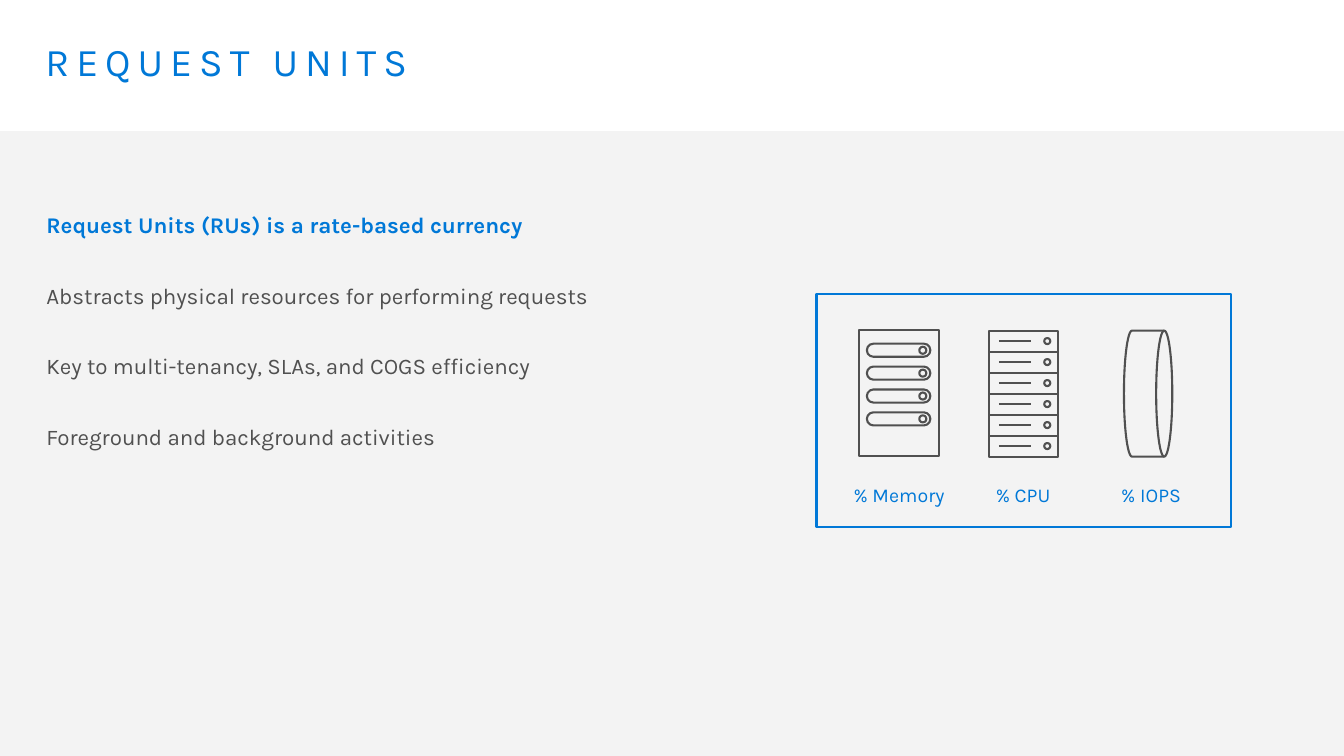
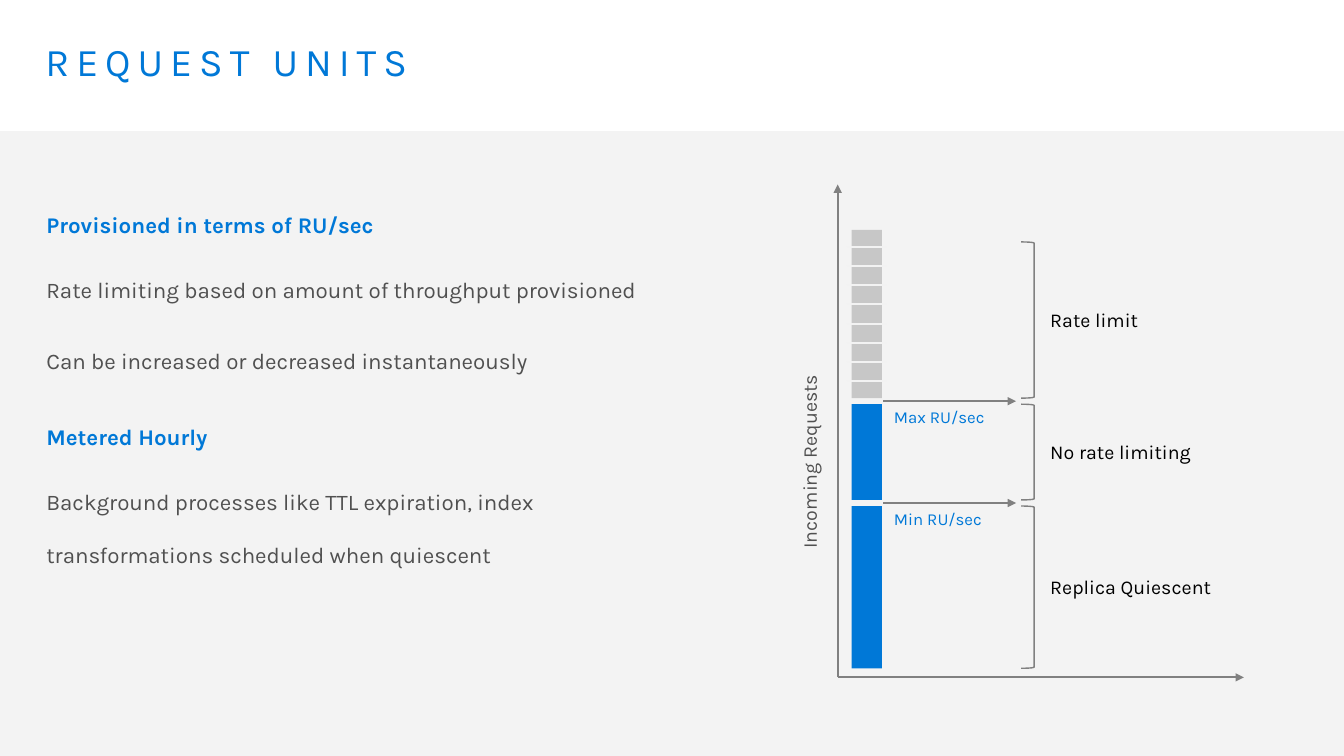
from lxml import etree
from pptx import Presentation
from pptx.dml.color import RGBColor
from pptx.enum.shapes import MSO_CONNECTOR, MSO_SHAPE
from pptx.enum.text import PP_ALIGN
from pptx.oxml.ns import qn
from pptx.util import Inches, Pt

RECTANGLE = MSO_SHAPE.RECTANGLE
PILL = MSO_SHAPE.ROUNDED_RECTANGLE
CIRCLE = MSO_SHAPE.OVAL
DRUM = MSO_SHAPE.FLOWCHART_DIRECT_ACCESS_STORAGE
BRACKET = MSO_SHAPE.RIGHT_BRACKET
STRAIGHT = MSO_CONNECTOR.STRAIGHT
LEFT, CENTER = PP_ALIGN.LEFT, PP_ALIGN.CENTER

COLORS = {
    "blue": "0078D7",
    "text": "505050",
    "band": "F2F2F2",
    "axis": "808080",
    "excess": "C7C7C7",
    "black": "000000",
}
FONT = "Karla"
COLUMNS, ROWS = 133.33, 75  # one grid cell is a tenth of an inch
LABEL_HEIGHT = 3.4


def cells(count):
    return Inches(count / 10)


def color(name):
    return RGBColor.from_string(COLORS[name])


def write(paragraph, text, size=16, ink="text", bold=False, align=LEFT,
          line_spacing=None, before=0, after=0, tracking=0):
    """Put formatted text into a paragraph."""
    paragraph.alignment = align
    paragraph.space_before, paragraph.space_after = Pt(before), Pt(after)
    if line_spacing:
        paragraph.line_spacing = line_spacing
    run = paragraph.add_run()
    run.text = text
    run.font.name, run.font.size, run.font.bold = FONT, Pt(size), bold
    run.font.color.rgb = color(ink)
    if tracking:
        run._r.get_or_add_rPr().set("spc", str(tracking * 100))


HEADING = {"ink": "blue", "bold": True, "line_spacing": 2, "before": 12}
POINT = {"line_spacing": 2, "before": 8, "after": 4}


class Deck:
    """Shared style and the slide being drawn; lengths are grid cells."""

    def __init__(self):
        self.presentation = Presentation()
        self.presentation.slide_width = cells(COLUMNS)
        self.presentation.slide_height = cells(ROWS)
        self.slide = None

    def new_slide(self, title):
        layout = self.presentation.slide_layouts[6]
        self.slide = self.presentation.slides.add_slide(layout)
        band = self.shape(RECTANGLE, 0, 13, COLUMNS, ROWS - 13, fill="band")
        fill_color = next(band._element.spPr.iter(qn("a:srgbClr")))
        etree.SubElement(fill_color, qn("a:alpha"), val="89000")
        self.text(2.9, 3.2, 127.5, 9.8, [(title, {
            "size": 28, "ink": "blue", "line_spacing": 0.9, "tracking": 5})],
            margins=(1.6, 1))

    def text(self, left, top, width, height, lines, margins=(1, 0.5), rotation=0):
        box = self.slide.shapes.add_textbox(*map(cells, (left, top, width, height)))
        box.rotation = rotation
        frame = box.text_frame
        frame.word_wrap = True
        frame.margin_left = frame.margin_right = cells(margins[0])
        frame.margin_top = frame.margin_bottom = cells(margins[1])
        for index, (line, style) in enumerate(lines):
            paragraph = frame.add_paragraph() if index else frame.paragraphs[0]
            write(paragraph, line, **style)

    def body(self, lines, height):
        self.text(3, 17.3, 62.2, height, lines, margins=(1.6, 1))

    def label(self, left, top, width, text, rotation=0, **style):
        self.text(left, top, width, LABEL_HEIGHT, [(text, {"size": 14, **style})],
                  rotation=rotation)

    def shape(self, kind, left, top, width, height, fill=None, line=None, weight=1.5):
        shape = self.slide.shapes.add_shape(
            kind, *map(cells, (left, top, width, height)))
        shape.shadow.inherit = False
        if fill:
            shape.fill.solid()
            shape.fill.fore_color.rgb = color(fill)
        else:
            shape.fill.background()
        if line:
            shape.line.color.rgb = color(line)
            shape.line.width = Pt(weight)
        else:
            shape.line.fill.background()
        return shape

    def line(self, start, end, ink, arrow=False):
        connector = self.slide.shapes.add_connector(
            STRAIGHT, *map(cells, (*start, *end)))
        connector.line.color.rgb = color(ink)
        connector.line.width = Pt(1.5)
        properties = connector._element.spPr
        if arrow:
            etree.SubElement(properties.find(qn("a:ln")), qn("a:tailEnd"),
                             type="triangle")
        etree.SubElement(properties, qn("a:effectLst"))

    # Resource icons
    def memory_icon(self, left, top):
        self.shape(RECTANGLE, left, top, 8, 12.5, line="text")
        for index in range(4):
            slot_top = top + 1.4 + index * 2.27
            slot = self.shape(PILL, left + 0.8, slot_top, 6.3, 1.3, line="text")
            slot.adjustments[0] = 0.5
            self.shape(CIRCLE, left + 6, slot_top + 0.3, 0.7, 0.7, line="text")

    def cpu_icon(self, left, top):
        pitch = 12.5 / 6
        for index in range(6):
            unit_top = top + index * pitch
            middle = unit_top + pitch / 2
            self.shape(RECTANGLE, left, unit_top, 6.9, pitch, line="text")
            self.shape(CIRCLE, left + 5.5, middle - 0.3, 0.6, 0.6, line="text")
            self.line((left + 1, middle), (left + 4.2, middle), "text")


def resources_slide(deck):
    deck.new_slide("REQUEST UNITS")
    deck.body([
        ("Request Units (RUs) is a rate-based currency",
         {**POINT, "ink": "blue", "bold": True}),
        ("Abstracts physical resources for performing requests", POINT),
        ("Key to multi-tenancy, SLAs, and COGS efficiency", POINT),
        ("Foreground and background activities", POINT),
    ], height=34.8)

    # Framed resources
    deck.shape(RECTANGLE, 81, 29.2, 41.1, 23.1, line="blue")
    deck.memory_icon(85.2, 32.7)
    deck.cpu_icon(98.1, 32.8)
    deck.shape(DRUM, 111.5, 32.8, 4.8, 12.5, line="text")
    for center, name in ((89.2, "% Memory"), (101.5, "% CPU"), (114.2, "% IOPS")):
        deck.label(center - 6.8, 47.4, 13.6, name, ink="blue", align=CENTER)


def throughput_slide(deck):
    deck.new_slide("REQUEST UNITS")
    deck.body([
        ("Provisioned in terms of RU/sec", HEADING),
        ("Rate limiting based on amount of throughput provisioned", POINT),
        ("Can be increased or decreased instantaneously", POINT),
        ("Metered Hourly", HEADING),
        ("Background processes like TTL expiration, index transformations "
         "scheduled when quiescent", POINT),
    ], height=39.7)

    # Axes
    origin = (83.1, 67.2)
    for end in ((83.1, 18.3), (123.4, 67.2)):
        deck.line(origin, end, "axis", arrow=True)
    deck.label(66.6, 44.1, 27.4, "Incoming Requests", rotation=270, align=CENTER)

    # Zones: bar top, bracket top, bottom, fill, label
    zones = (
        (22.8, 24, 39.5, "excess", "Rate limit"),
        (40.1, 40.1, 49.6, "blue", "No rate limiting"),
        (50.2, 50.2, 66.3, "blue", "Replica Quiescent"),
    )
    for bar_top, bracket_top, bottom, fill, name in zones:
        deck.shape(RECTANGLE, 84.5, bar_top, 3, bottom - bar_top, fill=fill)
        deck.shape(BRACKET, 101.3, bracket_top, 1.3, bottom - bracket_top,
                   line="axis", weight=1)
        middle = (bracket_top + bottom) / 2
        deck.label(103.2, middle - LABEL_HEIGHT / 2, 20.1, name, ink="black")

    # Thresholds in the gaps between zones
    for level, name in ((39.8, "Max RU/sec"), (49.9, "Min RU/sec")):
        deck.line((87.6, level), (100.8, level), "axis", arrow=True)
        deck.label(87.7, level + 0.1, 12.3, name, size=12, ink="blue")

    # Gaps that split the excess requests
    for index in range(8):
        level = 24.5 + index * 1.9
        deck.line((84, level), (88, level), "band")


def main():
    deck = Deck()
    resources_slide(deck)
    throughput_slide(deck)
    deck.presentation.save("out.pptx")


if __name__ == "__main__":
    main()
